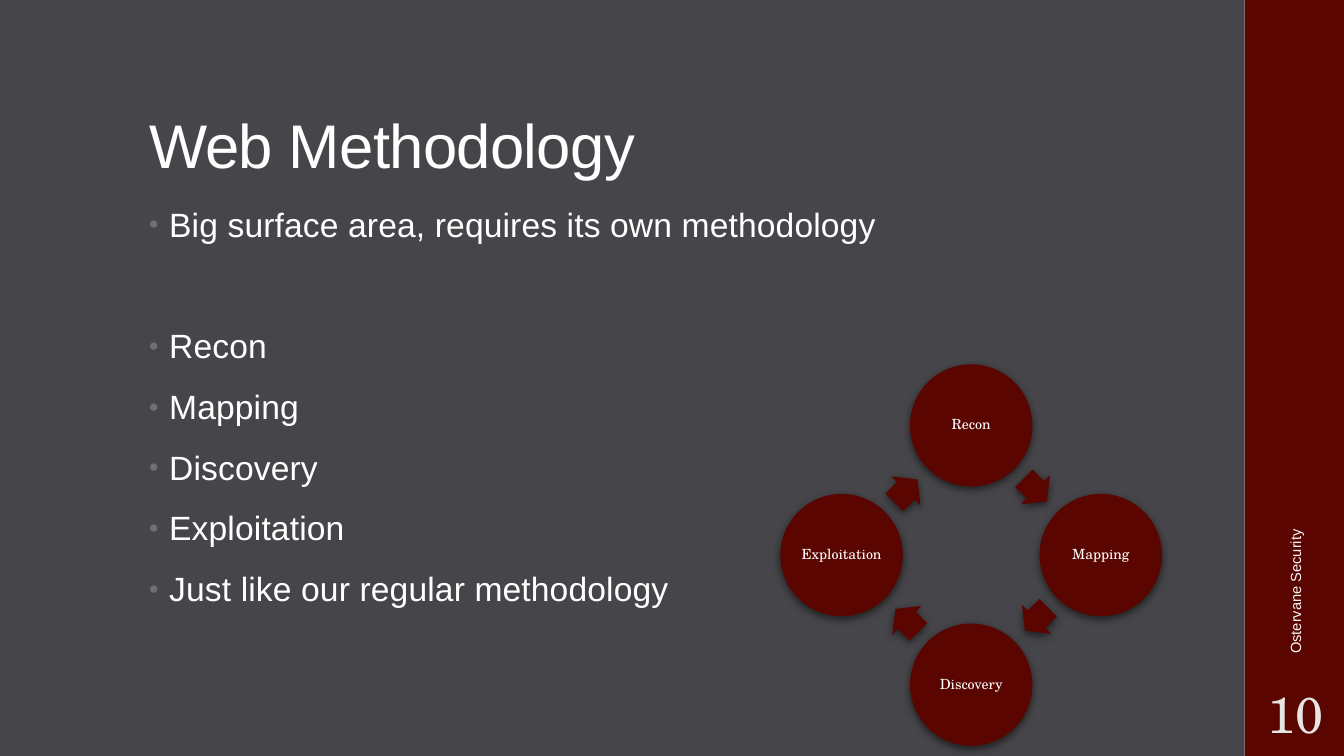
"""Build the Web Methodology slide with its four-step cycle."""
import math

from lxml import etree
from pptx import Presentation
from pptx import util as u
from pptx.dml.color import RGBColor
from pptx.enum import shapes, text
from pptx.oxml import ns

COLORS = {
    "background": "46464A",
    "maroon": "5A0500",
    "gray": "6F6F74",
    "white": "FFFFFF",
    "footer": "F7F6F5",
    "number": "E6E5E0",
    "shadow": "000000",
}
SANS, SERIF = "Arial", "TeX Gyre Schola"
STEPS = ["Recon", "Mapping", "Discovery", "Exploitation"]
CENTER_X, CENTER_Y = 693.7, 396.5
CIRCLE_SIZE, CIRCLE_ORBIT = 87.4, 92.6
ARROW_WIDTH, ARROW_HEIGHT, ARROW_ORBIT = 23.3, 29.5, 65.4


def color(name):
    """Return a named color."""
    return RGBColor.from_string(COLORS[name])


def add_xml(parent, tag, **attributes):
    """Append a drawing element and return it."""
    return etree.SubElement(parent, ns.qn(tag), attributes)


def write(para, words, size, font=SANS, fill="white", align=text.PP_ALIGN.LEFT,
          line=1.0, before=0, after=0, tracking=0):
    """Write one formatted run into a paragraph."""
    para.alignment = align
    para.line_spacing = line
    para.space_before, para.space_after = u.Pt(before), u.Pt(after)
    span = para.add_run()
    span.text = words
    span.font.size, span.font.name = u.Pt(size), font
    span.font.color.rgb = color(fill)
    if tracking:
        span.font._element.set("spc", str(round(tracking * 100)))


def add_bullet(para):
    """Give a paragraph a hanging gray bullet."""
    properties = para._p.get_or_add_pPr()
    indent = u.Pt(14.4)
    properties.set("marL", str(indent))
    properties.set("indent", str(-indent))
    bullet_color = add_xml(properties, "a:buClr")
    add_xml(bullet_color, "a:srgbClr", val=COLORS["gray"])
    add_xml(properties, "a:buSzPct", val="80000")
    add_xml(properties, "a:buFont", typeface=SANS)
    add_xml(properties, "a:buChar", char="•")


def set_frame(frame, anchor, inset=None):
    """Set wrapping, anchor and optional equal insets of a text frame."""
    frame.word_wrap = True
    frame.vertical_anchor = anchor
    if inset is not None:
        frame.margin_left = frame.margin_right = u.Pt(inset)
        frame.margin_top = frame.margin_bottom = u.Pt(inset)


def add_text(page, left, top, width, height, anchor=text.MSO_ANCHOR.TOP, inset=None):
    """Add an empty text box."""
    box = page.shapes.add_textbox(u.Pt(left), u.Pt(top), u.Pt(width), u.Pt(height))
    set_frame(box.text_frame, anchor, inset)
    return box


def add_solid(page, kind, left, top, width, height, shadow=False):
    """Add a maroon shape without outline, with an optional soft shadow."""
    shape = page.shapes.add_shape(kind, u.Pt(left), u.Pt(top), u.Pt(width), u.Pt(height))
    shape.fill.solid()
    shape.fill.fore_color.rgb = color("maroon")
    shape.line.fill.background()
    shape.shadow.inherit = False
    if shadow:
        effects = shape._element.spPr.find(ns.qn("a:effectLst"))
        outer = add_xml(effects, "a:outerShdw", blurRad=str(u.Pt(6)), dist=str(u.Pt(2)),
                        dir="5400000", algn="ctr", rotWithShape="0")
        tint = add_xml(outer, "a:srgbClr", val=COLORS["shadow"])
        add_xml(tint, "a:alpha", val="55000")
    return shape


def add_on_orbit(page, kind, angle, orbit, width, height):
    """Add a shadowed shape centered on an orbit around the cycle center."""
    turn = math.radians(angle)
    left = CENTER_X + orbit * math.cos(turn) - width / 2
    top = CENTER_Y + orbit * math.sin(turn) - height / 2
    return add_solid(page, kind, left, top, width, height, shadow=True)


def add_cycle(page):
    """Add the step circles and the arrows between them."""
    for index, step in enumerate(STEPS):
        angle = 90 * index - 90
        circle = add_on_orbit(page, shapes.MSO_SHAPE.OVAL, angle, CIRCLE_ORBIT,
                              CIRCLE_SIZE, CIRCLE_SIZE)
        set_frame(circle.text_frame, text.MSO_ANCHOR.MIDDLE, 1)
        write(circle.text_frame.paragraphs[0], step, 10, font=SERIF,
              align=text.PP_ALIGN.CENTER, line=0.9)
        arrow = add_on_orbit(page, shapes.MSO_SHAPE.RIGHT_ARROW, angle + 44.5, ARROW_ORBIT,
                             ARROW_WIDTH, ARROW_HEIGHT)
        arrow.adjustments[0], arrow.adjustments[1] = 0.6, 0.5
        arrow.rotation = 45 + 90 * index


def add_sidebar(page):
    """Add the side band with its edge line, footer and page number."""
    add_solid(page, shapes.MSO_SHAPE.RECTANGLE, 889.2, 0, 72, 540)
    edge = page.shapes.add_connector(shapes.MSO_CONNECTOR.STRAIGHT, u.Pt(889.2), u.Pt(0),
                                     u.Pt(889.2), u.Pt(540))
    edge.line.color.rgb = color("gray")
    edge.line.width = u.Pt(0.75)
    add_xml(edge._element.spPr, "a:effectLst")
    footer = add_text(page, 784.1, 318.5, 282.2, 28.8, text.MSO_ANCHOR.MIDDLE)
    footer.rotation = 270
    write(footer.text_frame.paragraphs[0], "Ostervane Security", 10.5, fill="footer")
    number = add_text(page, 889.2, 486, 72, 46.8, text.MSO_ANCHOR.MIDDLE, 3.6)
    write(number.text_frame.paragraphs[0], "10", 36, font=SERIF, fill="number",
          align=text.PP_ALIGN.CENTER)


def add_content(page):
    """Add the title and the bulleted list."""
    title = add_text(page, 99.4, 28.8, 763.2, 104.4, text.MSO_ANCHOR.BOTTOM)
    write(title.text_frame.paragraphs[0], "Web Methodology", 44, line=0.9, tracking=-0.5)
    frame = add_text(page, 99.4, 144, 676.8, 342.7).text_frame
    bullets = ["Big surface area, requires its own methodology", *STEPS,
               "Just like our regular methodology"]
    for index, words in enumerate(bullets):
        para = frame.add_paragraph() if index else frame.paragraphs[0]
        before = 57.4 if words == STEPS[0] else 14
        write(para, words, 24, line=0.95, before=before, after=2, tracking=0.1)
        add_bullet(para)


def main():
    """Build and save the deck."""
    deck = Presentation()
    deck.slide_width, deck.slide_height = u.Pt(960), u.Pt(540)
    page = deck.slides.add_slide(deck.slide_layouts[6])
    page.background.fill.solid()
    page.background.fill.fore_color.rgb = color("background")
    add_sidebar(page)
    add_content(page)
    add_cycle(page)
    deck.save("out.pptx")


if __name__ == "__main__":
    main()
